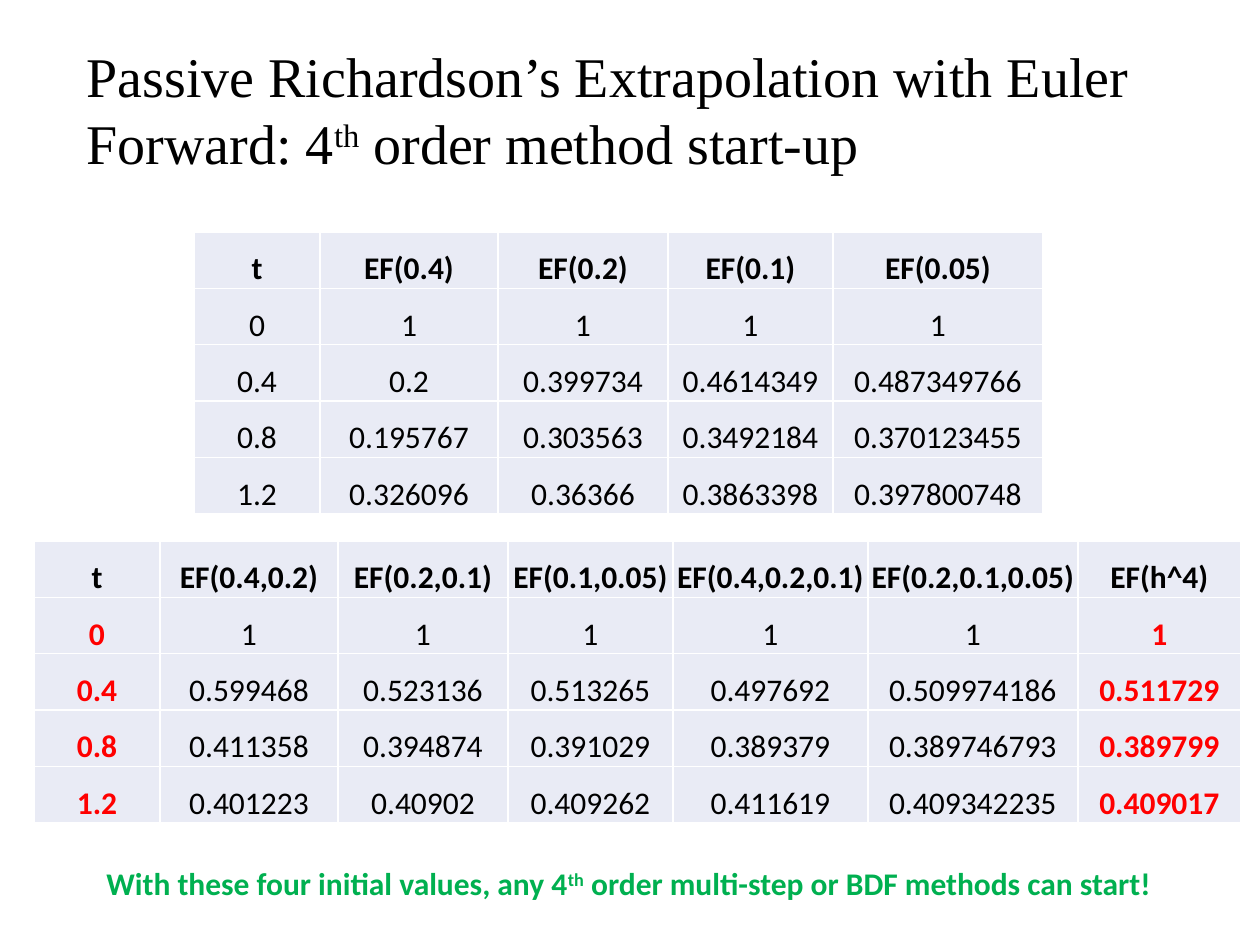
from lxml import etree
from pptx import Presentation
from pptx.dml.color import RGBColor
from pptx.enum.text import MSO_ANCHOR, MSO_AUTO_SIZE, PP_ALIGN
from pptx.oxml.ns import qn
from pptx.util import Pt

LEFT, CENTER = PP_ALIGN.LEFT, PP_ALIGN.CENTER
TOP, BOTTOM = MSO_ANCHOR.TOP, MSO_ANCHOR.BOTTOM
GROW = MSO_AUTO_SIZE.SHAPE_TO_FIT_TEXT
TITLE_ONLY = 5
SCALE = 914400 / 126
BLACK, WHITE, RED, GREEN, PALE = "000000", "FFFFFF", "FF0000", "00B050", "E9EBF5"
TABLE_HEIGHT = 282

TITLE = [("Passive Richardson’s Extrapolation with Euler Forward: 4", False),
         ("th", True), (" order method start-up", False)]
CONCLUSION = [("With these four initial values, any 4", False),
              ("th", True), (" order multi-step or BDF methods can start!", False)]

EULER_WIDTHS = [126, 178, 170, 165, 210]
EULER_ROWS = [
    ["t", "EF(0.4)", "EF(0.2)", "EF(0.1)", "EF(0.05)"],
    ["0", "1", "1", "1", "1"],
    ["0.4", "0.2", "0.399734", "0.4614349", "0.487349766"],
    ["0.8", "0.195767", "0.303563", "0.3492184", "0.370123455"],
    ["1.2", "0.326096", "0.36366", "0.3863398", "0.397800748"],
]
EXTRAPOLATED_WIDTHS = [126, 178, 170, 165, 195, 210, 163]
EXTRAPOLATED_ROWS = [
    ["t", "EF(0.4,0.2)", "EF(0.2,0.1)", "EF(0.1,0.05)",
     "EF(0.4,0.2,0.1)", "EF(0.2,0.1,0.05)", "EF(h^4)"],
    ["0", "1", "1", "1", "1", "1", "1"],
    ["0.4", "0.599468", "0.523136", "0.513265", "0.497692", "0.509974186", "0.511729"],
    ["0.8", "0.411358", "0.394874", "0.391029", "0.389379", "0.389746793", "0.389799"],
    ["1.2", "0.401223", "0.40902", "0.409262", "0.411619", "0.409342235", "0.409017"],
]


def px(length):
    return round(length * SCALE)


def color(value):
    return RGBColor.from_string(value)


def assign(target, values):
    for name, value in values.items():
        setattr(target, name, value)


class SlideBuilder:
    title_font = {"name": "Times New Roman", "size": Pt(32), "bold": False}
    body_font = {"name": "Calibri", "size": Pt(18), "bold": False}
    bold_font = {**body_font, "bold": True}
    cell_format = {"vertical_anchor": BOTTOM, "margin_left": px(1),
                   "margin_right": px(1), "margin_top": px(1), "margin_bottom": 0}

    def __init__(self, slide):
        self.slide = slide

    def spans(self, para, parts, font, hue):
        for text, raised in parts:
            span = para.add_run()
            span.text = text
            assign(span.font, font)
            span.font.color.rgb = color(hue)
            if raised:
                span._r.get_or_add_rPr().set("baseline", "30000")

    def fill_box(self, box, parts, font, hue):
        assign(box.text_frame, {"word_wrap": True, "auto_size": GROW,
                                "vertical_anchor": TOP})
        para = box.text_frame.paragraphs[0]
        para.alignment = LEFT
        self.spans(para, parts, font, hue)

    def title(self, left, top, width, height, parts):
        box = self.slide.shapes.title
        assign(box, {"left": px(left), "top": px(top),
                     "width": px(width), "height": px(height)})
        self.fill_box(box, parts, self.title_font, BLACK)

    def text(self, left, top, width, height, parts, hue):
        box = self.slide.shapes.add_textbox(px(left), px(top), px(width), px(height))
        self.fill_box(box, parts, self.bold_font, hue)

    def borders(self, cell):
        properties = cell._tc.get_or_add_tcPr()
        for side in ("lnL", "lnR", "lnT", "lnB"):
            line = etree.SubElement(properties, qn(f"a:{side}"), w=str(Pt(1)))
            fill = etree.SubElement(line, qn("a:solidFill"))
            etree.SubElement(fill, qn("a:srgbClr"), val=WHITE)

    def table(self, left, top, widths, rows, red_columns=()):
        table = self.slide.shapes.add_table(
            len(rows), len(widths), px(left), px(top),
            px(sum(widths)), px(TABLE_HEIGHT)).table
        assign(table, {"first_row": False, "horz_banding": False})
        for column, width in zip(table.columns, widths):
            column.width = px(width)
        for row_index, row in enumerate(rows):
            for column_index, value in enumerate(row):
                cell = table.cell(row_index, column_index)
                assign(cell, self.cell_format)
                self.borders(cell)
                cell.fill.solid()
                cell.fill.fore_color.rgb = color(PALE)
                para = cell.text_frame.paragraphs[0]
                para.alignment = CENTER
                header = row_index == 0
                red = not header and column_index in red_columns
                font = self.bold_font if header or red else self.body_font
                self.spans(para, [(value, False)], font, RED if red else BLACK)


def main():
    deck = Presentation()
    assign(deck, {"slide_width": px(1260), "slide_height": px(945)})
    page = SlideBuilder(deck.slides.add_slide(deck.slide_layouts[TITLE_ONLY]))
    page.title(74, 35, 1126, 149, TITLE)
    page.table(34, 541, EXTRAPOLATED_WIDTHS, EXTRAPOLATED_ROWS, red_columns=(0, 6))
    page.table(194, 232, EULER_WIDTHS, EULER_ROWS)
    page.text(94, 858, 1087, 50, CONCLUSION, GREEN)
    deck.save("out.pptx")


if __name__ == "__main__":
    main()
